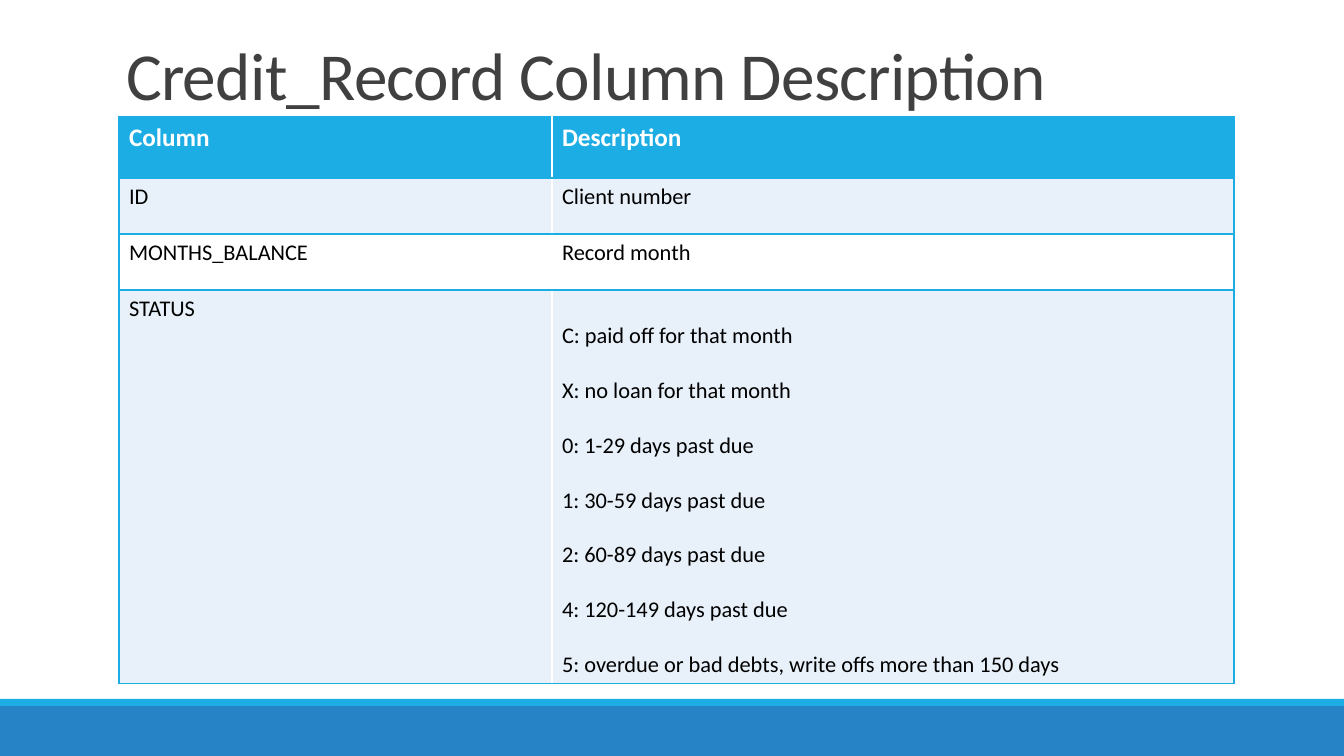
from typing import NamedTuple

from lxml import etree
from pptx import Presentation
from pptx import util as u
from pptx.dml.color import RGBColor
from pptx.enum import shapes, text
from pptx.oxml.ns import qn

PX = 914400 / 100.8
FONT = "Calibri"
SKY = RGBColor(0x1C, 0xAD, 0xE4)
BLUE = RGBColor(0x26, 0x83, 0xC6)
PALE = RGBColor(0xE8, 0xF1, 0xFA)
WHITE = RGBColor(0xFF, 0xFF, 0xFF)
BLACK = RGBColor(0, 0, 0)
CHARCOAL = RGBColor(0x40, 0x40, 0x40)


class Bar(NamedTuple):
    top: int
    height: int
    color: RGBColor


class Row(NamedTuple):
    height: int
    column: str
    description: list[str]
    line_spacing: float = 1.0


PAGE_WIDTH, PAGE_HEIGHT = 1344, 756
BARS = [Bar(706, 50, BLUE), Bar(699, 7, SKY)]
COLUMN_WIDTHS = [433, 682]
ROWS = [
    Row(61, "Column", ["Description"]),
    Row(56, "ID", ["Client number"]),
    Row(56, "MONTHS_BALANCE", ["Record month"]),
    Row(354, "STATUS", [
        "C: paid off for that month",
        "X: no loan for that month",
        "0: 1-29 days past due",
        "1: 30-59 days past due",
        "2: 60-89 days past due",
        "4: 120-149 days past due",
        "5: overdue or bad debts, write offs more than 150 days",
    ], 2.0),
]


def px(length: int) -> u.Emu:
    return u.Emu(round(length * PX))


def add_span(para, words: str, size: int, color: RGBColor, bold: bool = False):
    span = para.add_run()
    span.text = words
    span.font.name = FONT
    span.font.size = u.Pt(size)
    span.font.bold = bold
    span.font.color.rgb = color
    return span


def add_bar(page, bar: Bar) -> None:
    box = page.shapes.add_shape(shapes.MSO_SHAPE.RECTANGLE, 0, px(bar.top),
                                px(PAGE_WIDTH), px(bar.height))
    box.shadow.inherit = False
    box.fill.solid()
    box.fill.fore_color.rgb = bar.color
    box.line.fill.background()


def set_title(page, words: str) -> None:
    title = page.shapes.title
    title.left, title.top, title.width, title.height = map(px, (116, -36, 1086, 155))
    frame = title.text_frame
    frame.word_wrap = True
    frame.auto_size = text.MSO_AUTO_SIZE.NONE
    frame.vertical_anchor = text.MSO_ANCHOR.BOTTOM
    para = frame.paragraphs[0]
    para.alignment = text.PP_ALIGN.LEFT
    para.line_spacing = 0.85
    span = add_span(para, words, 48, CHARCOAL)
    span.font._element.set("spc", "-50")


def add_borders(cell, sides: str) -> None:
    """Outline the given sides (L, R, T, B); must run before the cell is filled."""
    properties = cell._tc.get_or_add_tcPr()
    for side in sides:
        line = etree.SubElement(properties, qn(f"a:ln{side}"), w=str(u.Pt(1)))
        fill = etree.SubElement(line, qn("a:solidFill"))
        etree.SubElement(fill, qn("a:srgbClr"), val=str(SKY))


def fill_cell(cell, lines: list[str], spacing: float, sides: str,
              background: RGBColor, is_header: bool) -> None:
    add_borders(cell, sides)
    cell.fill.solid()
    cell.fill.fore_color.rgb = background
    frame = cell.text_frame
    for index, words in enumerate(lines):
        para = frame.add_paragraph() if index else frame.paragraphs[0]
        if spacing != 1:
            para.line_spacing = spacing
        add_span(para, words, 18 if is_header else 16,
                 WHITE if is_header else BLACK, is_header)


def add_column_table(page) -> None:
    height = sum(row.height for row in ROWS)
    table = page.shapes.add_table(len(ROWS), len(COLUMN_WIDTHS), px(119), px(117),
                                  px(sum(COLUMN_WIDTHS)), px(height)).table
    for column, width in zip(table.columns, COLUMN_WIDTHS):
        column.width = px(width)
    for index, row in enumerate(ROWS):
        table.rows[index].height = px(row.height)
        is_header = index == 0
        background = SKY if is_header else PALE if index % 2 else WHITE
        fill_cell(table.cell(index, 0), [row.column], 1.0, "LTB", background, is_header)
        fill_cell(table.cell(index, 1), row.description, row.line_spacing, "RTB",
                  background, is_header)


def main() -> None:
    deck = Presentation()
    deck.slide_width, deck.slide_height = px(PAGE_WIDTH), px(PAGE_HEIGHT)
    page = deck.slides.add_slide(deck.slide_layouts.get_by_name("Title Only"))
    for bar in BARS:
        add_bar(page, bar)
    set_title(page, "Credit_Record Column Description")
    add_column_table(page)
    deck.save("out.pptx")


if __name__ == "__main__":
    main()
